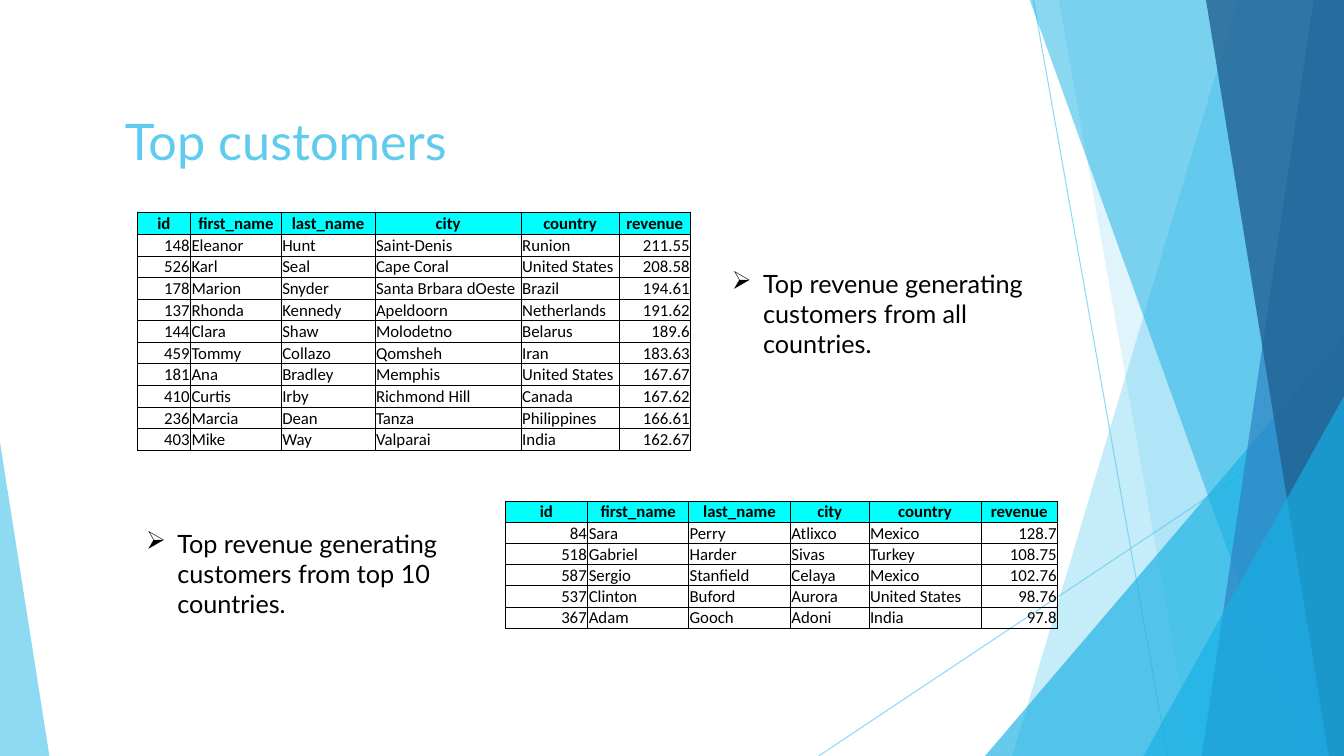
from dataclasses import dataclass

from pptx import Presentation
from pptx import util as u
from pptx.dml.color import RGBColor
from pptx.enum import shapes, text
from pptx.oxml.ns import qn
from lxml import etree

BLACK = "000000"
SKY = "5FCBEF"
AZURE = "17B0E4"
HEADER_FILL = "00FFFF"
BOTTOM = 7.5
RIGHT = 13.33
TOP = -0.01
HEADERS = ("id", "first_name", "last_name", "city", "country", "revenue")
LEFT_ALIGN, CENTER, RIGHT_ALIGN = (
    text.PP_ALIGN.LEFT, text.PP_ALIGN.CENTER, text.PP_ALIGN.RIGHT)
COLUMN_ALIGNMENTS = (RIGHT_ALIGN,) + (LEFT_ALIGN,) * 4 + (RIGHT_ALIGN,)


@dataclass
class Box:
    left: float
    top: float
    width: float
    height: float

    def emu(self) -> list:
        return [u.Inches(v) for v in (self.left, self.top, self.width, self.height)]


@dataclass
class Ray:
    start: tuple
    end: tuple


@dataclass
class Band:
    """A full-height stripe running to the right edge of the slide."""
    top_x: float
    bottom_x: float
    color: str
    opacity: int


@dataclass
class Wedge:
    box: Box
    apex: float
    color: str
    opacity: int


@dataclass
class CustomerTable:
    box: Box
    widths: tuple
    rows: tuple


@dataclass
class Note:
    box: Box
    wording: str


RAYS = (Ray((10.25, 0), (11.58, BOTTOM)), Ray((RIGHT, 4.03), (8.12, BOTTOM)))
DECORATIONS = (
    Band(12.28, 10.04, SKY, 36),
    Band(10.5, 11.83, SKY, 20),
    Wedge(Box(9.77, 3.33, 3.56, 4.17), 1, AZURE, 66),
    Band(10.21, 12.91, AZURE, 50),
    Band(13.03, 11.92, "2E83C3", 70),
    Band(11.96, 13.18, "226292", 80),
    Wedge(Box(11.34, 3.93, 1.99, 3.57), 1, AZURE, 66),
    Wedge(Box(0, 4.39, 0.49, 3.11), 0, SKY, 70),
)
TABLES = (
    CustomerTable(Box(5.01, 4.97, 5.48, 1.23), (0.82, 1, 1.01, 0.78, 1.11, 0.76), (
        ("84", "Sara", "Perry", "Atlixco", "Mexico", "128.7"),
        ("518", "Gabriel", "Harder", "Sivas", "Turkey", "108.75"),
        ("587", "Sergio", "Stanfield", "Celaya", "Mexico", "102.76"),
        ("537", "Clinton", "Buford", "Aurora", "United States", "98.76"),
        ("367", "Adam", "Gooch", "Adoni", "India", "97.8"),
    )),
    CustomerTable(Box(1.36, 2.11, 5.48, 2.36), (0.53, 0.9, 0.93, 1.45, 0.97, 0.71), (
        ("148", "Eleanor", "Hunt", "Saint-Denis", "Runion", "211.55"),
        ("526", "Karl", "Seal", "Cape Coral", "United States", "208.58"),
        ("178", "Marion", "Snyder", "Santa Brbara dOeste", "Brazil", "194.61"),
        ("137", "Rhonda", "Kennedy", "Apeldoorn", "Netherlands", "191.62"),
        ("144", "Clara", "Shaw", "Molodetno", "Belarus", "189.6"),
        ("459", "Tommy", "Collazo", "Qomsheh", "Iran", "183.63"),
        ("181", "Ana", "Bradley", "Memphis", "United States", "167.67"),
        ("410", "Curtis", "Irby", "Richmond Hill", "Canada", "167.62"),
        ("236", "Marcia", "Dean", "Tanza", "Philippines", "166.61"),
        ("403", "Mike", "Way", "Valparai", "India", "162.67"),
    )),
)
NOTES = (
    Note(Box(7.16, 2.61, 3.21, 1.01),
         "Top revenue generating customers from all countries."),
    Note(Box(1.35, 5.19, 3.48, 1.01),
         "Top revenue generating customers from top 10 countries."),
)


def rgb(color: str) -> RGBColor:
    return RGBColor.from_string(color)


def set_opacity(shape, percent: int) -> None:
    for color in shape._element.xpath("./p:spPr//a:srgbClr"):
        etree.SubElement(color, qn("a:alpha"), val=str(percent * 1000))


def write(frame, wording: str, *, size: float, font: str = "Lato", color: str = BLACK,
          bold: bool = False, align=LEFT_ALIGN, bullet: str = "") -> None:
    paragraph = frame.paragraphs[0]
    paragraph.alignment = align
    run = paragraph.add_run()
    run.text = wording
    run.font.name, run.font.size, run.font.bold = font, u.Pt(size), bold
    run.font.color.rgb = rgb(color)
    if bullet:
        properties = paragraph._p.get_or_add_pPr()
        indent = u.Inches(0.31)
        properties.set("marL", str(indent))
        properties.set("indent", str(-indent))
        etree.SubElement(properties, qn("a:buChar"), char=bullet)


def add_text_box(slide, box: Box, wording: str, *, anchor=text.MSO_ANCHOR.TOP,
                 **format_options) -> None:
    frame = slide.shapes.add_textbox(*box.emu()).text_frame
    frame.word_wrap = True
    frame.vertical_anchor = anchor
    write(frame, wording, **format_options)


def add_ray(slide, ray: Ray) -> None:
    points = [u.Inches(v) for v in ray.start + ray.end]
    line = slide.shapes.add_connector(shapes.MSO_CONNECTOR.STRAIGHT, *points)
    line.line.color.rgb = rgb(SKY)
    line.line.width = u.Pt(0.75)
    set_opacity(line, 70)
    etree.SubElement(line._element.spPr, qn("a:effectLst"))


def add_decoration(slide, item: Band | Wedge) -> None:
    if isinstance(item, Band):
        corners = [(u.Inches(x), u.Inches(y)) for x, y in (
            (item.top_x, TOP), (RIGHT, TOP), (RIGHT, BOTTOM), (item.bottom_x, BOTTOM))]
        builder = slide.shapes.build_freeform(*corners[0])
        builder.add_line_segments(corners[1:], close=True)
        shape = builder.convert_to_shape()
    else:
        shape = slide.shapes.add_shape(
            shapes.MSO_SHAPE.ISOSCELES_TRIANGLE, *item.box.emu())
        shape.adjustments[0] = item.apex
    shape.shadow.inherit = False
    shape.fill.solid()
    shape.fill.fore_color.rgb = rgb(item.color)
    shape.line.fill.background()
    set_opacity(shape, item.opacity)


def add_borders(cell) -> None:
    properties = cell._tc.get_or_add_tcPr()
    for side in ("lnL", "lnR", "lnT", "lnB"):
        line = etree.SubElement(properties, qn(f"a:{side}"), w=str(u.Pt(0.5)))
        fill = etree.SubElement(line, qn("a:solidFill"))
        etree.SubElement(fill, qn("a:srgbClr"), val=BLACK)


def add_customer_table(slide, data: CustomerTable) -> None:
    rows = (HEADERS,) + data.rows
    table = slide.shapes.add_table(len(rows), len(HEADERS), *data.box.emu()).table
    table.first_row = table.horz_banding = False
    for column, width in zip(table.columns, data.widths):
        column.width = u.Inches(width)
    for row_index, row in enumerate(rows):
        is_header = row_index == 0
        table.rows[row_index].height = u.Inches(data.box.height / len(rows))
        for column_index, value in enumerate(row):
            cell = table.cell(row_index, column_index)
            cell.margin_left = cell.margin_right = cell.margin_top = u.Inches(0.01)
            cell.margin_bottom = 0
            cell.vertical_anchor = text.MSO_ANCHOR.BOTTOM
            add_borders(cell)
            if is_header:
                cell.fill.solid()
                cell.fill.fore_color.rgb = rgb(HEADER_FILL)
            else:
                cell.fill.background()
            write(cell.text_frame, value, size=12, font="Calibri", bold=is_header,
                  align=CENTER if is_header else COLUMN_ALIGNMENTS[column_index])


def main() -> None:
    presentation = Presentation()
    presentation.slide_width, presentation.slide_height = u.Inches(RIGHT), u.Inches(BOTTOM)
    slide = presentation.slides.add_slide(presentation.slide_layouts[6])
    for ray in RAYS:
        add_ray(slide, ray)
    for item in DECORATIONS:
        add_decoration(slide, item)
    add_text_box(slide, Box(1.14, 0.67, 4.08, 1.44), "Top customers", size=36,
                 color=SKY, anchor=text.MSO_ANCHOR.MIDDLE)
    for data in TABLES:
        add_customer_table(slide, data)
    for note in NOTES:
        add_text_box(slide, note.box, note.wording, size=18, bullet="➢")
    presentation.save("out.pptx")


if __name__ == "__main__":
    main()
